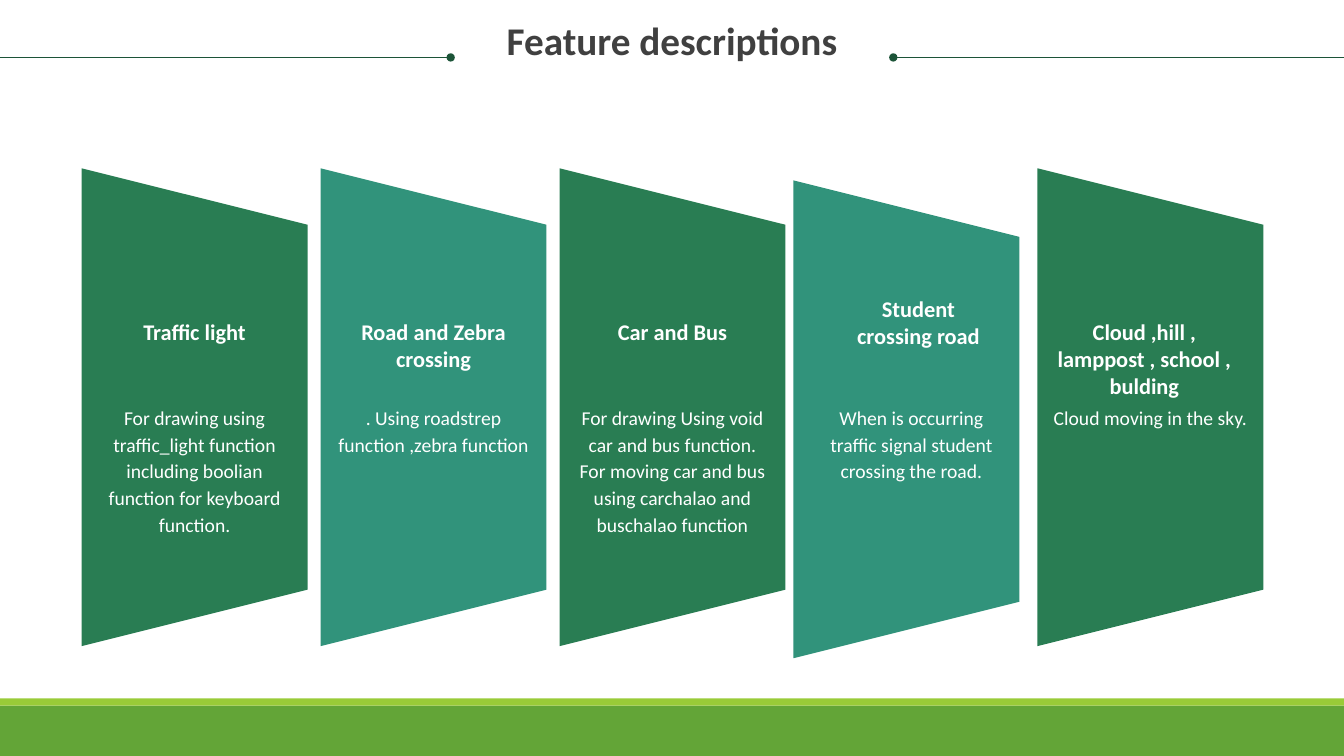
from dataclasses import dataclass

from lxml import etree
from pptx import Presentation
from pptx.dml.color import RGBColor
from pptx.enum.shapes import MSO_CONNECTOR, MSO_SHAPE
from pptx.enum.text import MSO_ANCHOR, PP_ALIGN
from pptx.oxml.ns import qn
from pptx.util import Inches, Pt

COLORS = {
    "band": "63A537",
    "stripe": "99CB38",
    "rule": "1C5438",
    "title": "404040",
    "green": "297D53",
    "teal": "31937B",
    "white": "FFFFFF",
}
FONT = "Calibri"
SLIDE_WIDTH, SLIDE_HEIGHT = 13.33, 7.5
FIRST_CENTER, PANEL_STEP = 1.93, 2.37
PANEL_MIDDLE = 4.04
PANEL_LENGTH, PANEL_DEPTH = 4.74, 2.24
HEADING_TOP = 3.16
BODY_TOP, BODY_WIDTH = 4, 1.92


@dataclass
class Feature:
    """Heading, body paragraphs and shifts in inches from the regular grid."""
    heading: str
    body: list
    heading_width: float = 1.5
    heading_shift: tuple = (0, 0)
    panel_shift: tuple = (0, 0)


FEATURES = [
    Feature("Traffic light",
            ["For drawing using traffic_light function including boolian "
             "function for keyboard function."]),
    Feature("Road and Zebra crossing",
            [". Using roadstrep function ,zebra function"]),
    Feature("Car and Bus",
            ["For drawing Using void car and bus function.",
             "For moving car and bus using carchalao and buschalao function"]),
    Feature("Student crossing road",
            ["When is occurring traffic signal student crossing the road."],
            heading_shift=(0.07, -0.23), panel_shift=(-0.05, 0.12)),
    Feature("Cloud ,hill , lamppost , school , bulding",
            ["Cloud moving in the sky."],
            heading_width=2.02, heading_shift=(-0.06, 0)),
]


def rgb(name):
    return RGBColor.from_string(COLORS[name])


def add_filled(slide, preset, left, top, width, height, color):
    filled = slide.shapes.add_shape(
        preset, Inches(left), Inches(top), Inches(width), Inches(height))
    filled.shadow.inherit = False
    filled.fill.solid()
    filled.fill.fore_color.rgb = rgb(color)
    filled.line.fill.background()
    return filled


def add_centered_text(slide, center, top, width, height, paragraphs, size,
                      color="white", bold=False, spacing=None):
    box = slide.shapes.add_textbox(
        Inches(center - width / 2), Inches(top), Inches(width), Inches(height))
    frame = box.text_frame
    frame.word_wrap = True
    frame.vertical_anchor = MSO_ANCHOR.TOP
    frame.margin_left = frame.margin_right = 0
    frame.margin_top = frame.margin_bottom = 0
    frame.text = "\n".join(paragraphs)
    for paragraph in frame.paragraphs:
        paragraph.alignment = PP_ALIGN.CENTER
        paragraph.line_spacing = spacing
        for run in paragraph.runs:
            run.font.name = FONT
            run.font.size = Pt(size)
            run.font.bold = bold
            run.font.color.rgb = rgb(color)


def add_title_rule(slide, edge, dot):
    """Line from the slide edge to a round dot beside the title."""
    rule = slide.shapes.add_connector(
        MSO_CONNECTOR.STRAIGHT,
        Inches(edge), Inches(0.57), Inches(dot), Inches(0.57))
    rule.line.color.rgb = rgb("rule")
    rule.line.width = Pt(1)
    properties = rule.line._get_or_add_ln()
    etree.SubElement(properties, qn("a:tailEnd"), type="oval")
    etree.SubElement(rule._element.spPr, qn("a:effectLst"))


def add_panel(slide, center, middle, color):
    panel = add_filled(
        slide, MSO_SHAPE.TRAPEZOID,
        center - PANEL_LENGTH / 2, middle - PANEL_DEPTH / 2,
        PANEL_LENGTH, PANEL_DEPTH, color)
    panel.rotation = 90


def add_feature(slide, index, feature):
    center = FIRST_CENTER + index * PANEL_STEP
    panel_dx, panel_dy = feature.panel_shift
    heading_dx, heading_dy = feature.heading_shift
    add_panel(slide, center + panel_dx, PANEL_MIDDLE + panel_dy,
              "teal" if index % 2 else "green")
    add_centered_text(slide, center + heading_dx, HEADING_TOP + heading_dy,
                      feature.heading_width, 0.81, [feature.heading], 16,
                      bold=True)
    add_centered_text(slide, center, BODY_TOP, BODY_WIDTH, 1.33,
                      feature.body, 14, spacing=Pt(19))


def main():
    deck = Presentation()
    deck.slide_width = Inches(SLIDE_WIDTH)
    deck.slide_height = Inches(SLIDE_HEIGHT)
    slide = deck.slides.add_slide(deck.slide_layouts[6])

    add_filled(slide, MSO_SHAPE.RECTANGLE, 0, 7, SLIDE_WIDTH, 0.5, "band")
    add_filled(slide, MSO_SHAPE.RECTANGLE, 0, 6.93, SLIDE_WIDTH, 0.07, "stripe")
    add_title_rule(slide, 0, 4.47)
    add_title_rule(slide, SLIDE_WIDTH, 8.86)
    add_centered_text(slide, SLIDE_WIDTH / 2, 0.21, 12.83, 0.85,
                      ["Feature descriptions"], 28, "title", bold=True,
                      spacing=0.9)
    for index, feature in enumerate(FEATURES):
        add_feature(slide, index, feature)

    deck.save("out.pptx")


if __name__ == "__main__":
    main()
